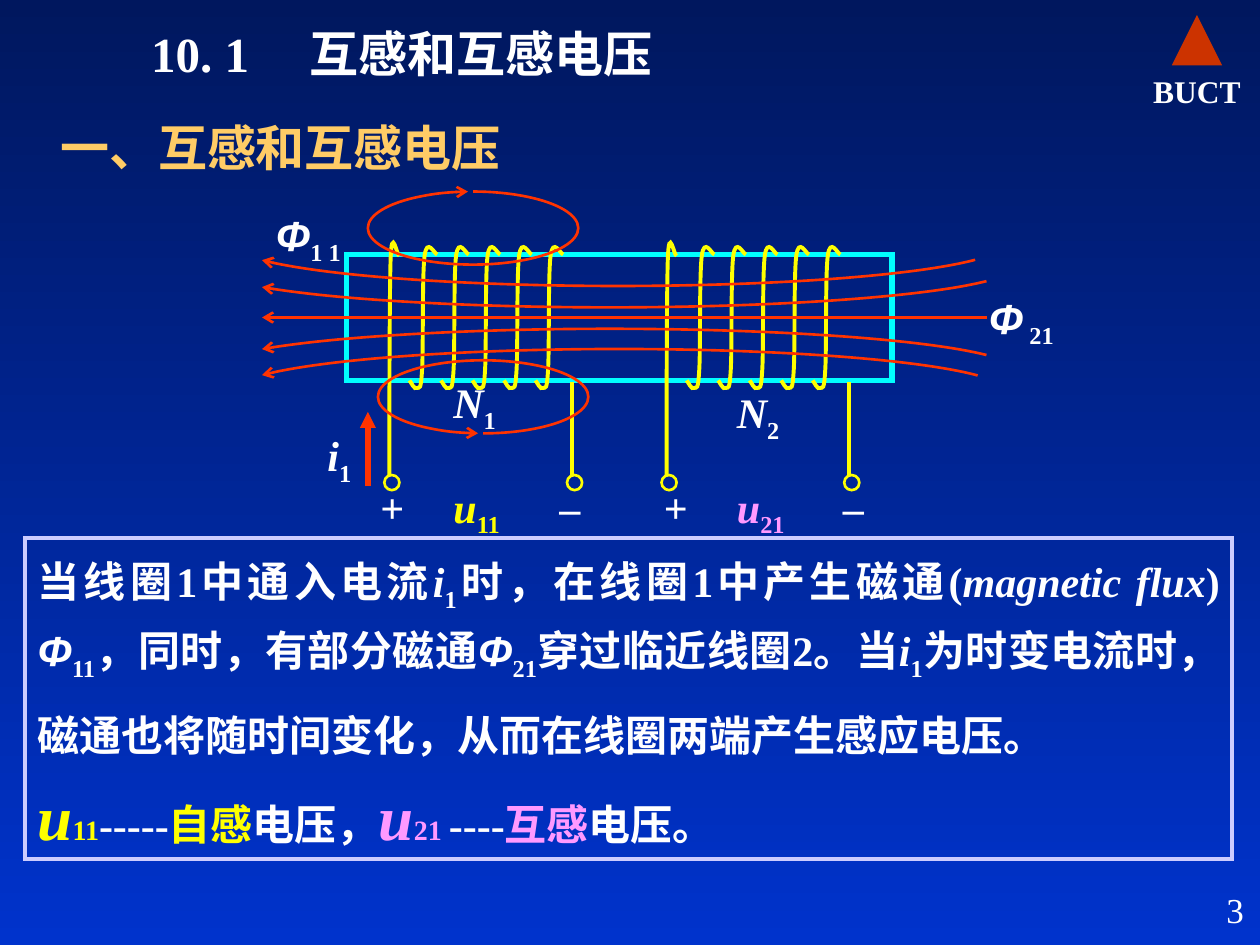
import math

from lxml import etree
from pptx import Presentation
from pptx.dml.color import RGBColor
from pptx.enum import shapes, text
from pptx.oxml import ns
from pptx.util import Inches, Pt

NAVY = RGBColor(0x00, 0x17, 0x5E)
BLUE = RGBColor(0x00, 0x33, 0xCC)
WHITE = RGBColor(0xFF, 0xFF, 0xFF)
GOLD = RGBColor(0xFF, 0xCC, 0x66)
YELLOW = RGBColor(0xFF, 0xFF, 0x00)
PINK = RGBColor(0xFF, 0x99, 0xFF)
CYAN = RGBColor(0x00, 0xFF, 0xFF)
RED = RGBColor(0xFF, 0x33, 0x00)
BRICK = RGBColor(0xCC, 0x33, 0x00)
LILAC = RGBColor(0xCC, 0xCC, 0xFF)
SERIF = "Times New Roman"
SUB = {"sub": True}
ITALIC = {"italic": True}
PHI = {"italic": True, "font": "Arial"}

deck = Presentation()
deck.slide_width, deck.slide_height = Inches(10), Inches(7.5)
page = deck.slides.add_slide(deck.slide_layouts[5])
backdrop = page.background.fill
backdrop.gradient()
backdrop.gradient_angle = 270
for stop, color in zip(backdrop.gradient_stops, (NAVY, BLUE)):
    stop.color.rgb = color


def fill_para(para, spans, size=24, color=WHITE, bold=True, align=text.PP_ALIGN.LEFT):
    para.alignment = align
    para.font.size, para.font.bold, para.font.name = Pt(size), bold, SERIF
    para.font.color.rgb = color
    for words, style in spans:
        span = para.add_run()
        span.text = words
        if "italic" in style:
            span.font.italic = True
        if "font" in style:
            span.font.name = style["font"]
        if "size" in style:
            span.font.size = Pt(style["size"])
        if "color" in style:
            span.font.color.rgb = style["color"]
        props = span._r.get_or_add_rPr()
        if "sub" in style:
            props.set("baseline", "-25000")
        etree.SubElement(props, ns.qn("a:ea"), typeface="Noto Sans CJK SC")


def outline(shape, color, width, arrow=None):
    if hasattr(shape, "fill"):
        shape.fill.background()
    shape.line.color.rgb = color
    shape.line.width = Pt(width)
    props = shape._element.spPr
    line = props.get_or_add_ln()
    etree.SubElement(line, ns.qn("a:miter"), lim="800000")
    if arrow:
        etree.SubElement(line, ns.qn("a:tailEnd"), type=arrow)
    etree.SubElement(props, ns.qn("a:effectLst"))


title = page.shapes.title
title.left, title.top, title.width, title.height = Inches(1.1), Inches(0.14), Inches(7.29), Inches(0.57)
title.text_frame.vertical_anchor = text.MSO_ANCHOR.TOP
title_para = title.text_frame.paragraphs[0]
tabs = etree.SubElement(title_para._p.get_or_add_pPr(), ns.qn("a:tabLst"))
etree.SubElement(tabs, ns.qn("a:tab"), pos=str(Inches(1.26)), algn="l")
fill_para(title_para, [("10. 1\t互感和互感电压", {})], size=28)

emblem = page.shapes.add_shape(shapes.MSO_SHAPE.ISOSCELES_TRIANGLE, Inches(9.3), Inches(0.12), Inches(0.4), Inches(0.4))
emblem.shadow.inherit = False
emblem.fill.solid()
emblem.fill.fore_color.rgb = BRICK
emblem.line.fill.background()

core = page.shapes.add_shape(shapes.MSO_SHAPE.RECTANGLE, Inches(2.75), Inches(2.02), Inches(4.33), Inches(1))
outline(core, CYAN, 3)

LEAD = [(3.09, 3.77), (3.09, 3.49), (3.09, 2.35), (3.1, 2.06), (3.11, 1.77), (3.15, 2.04), (3.17, 2.03)]
TURN = [(3.25, 3.02), (3.26, 3.03), (3.29, 3.1), (3.31, 3.08), (3.33, 3.07), (3.34, 3.11), (3.35, 2.93),
        (3.36, 2.76), (3.35, 2.18), (3.37, 2.03), (3.39, 1.88), (3.45, 2.02), (3.47, 2.02)]
straight_lines = [(7.83, 2.52, 2.08, 2.52, RED, 1.5, "arrow"), (2.92, 3.86, 2.92, 3.27, RED, 3, "triangle")]
for coil_shift in (0, 2.2):
    windings = [(LEAD, coil_shift)] + [(TURN, coil_shift + 0.25 * n) for n in range(5)]
    for controls, shift in windings:
        points = [(Inches(x + shift), Inches(y)) for x, y in controls]
        builder = page.shapes.build_freeform(*points[0])
        builder.add_line_segments(points[1:], close=False)
        winding = builder.convert_to_shape()
        segments = list(winding._element.spPr.iter(ns.qn("a:lnTo")))
        for start in range(0, len(segments), 3):
            curve = etree.Element(ns.qn("a:cubicBezTo"))
            segments[start].addprevious(curve)
            for segment in segments[start:start + 3]:
                curve.append(segment[0])
                segment.getparent().remove(segment)
        outline(winding, YELLOW, 2.25)
    straight_lines.append((4.54 + coil_shift, 3.03, 4.54 + coil_shift, 3.78, YELLOW, 2.25, None))
    for left in (3.05, 4.5):
        terminal = page.shapes.add_shape(
            shapes.MSO_SHAPE.OVAL, Inches(left + coil_shift), Inches(3.77), Inches(0.12), Inches(0.12))
        outline(terminal, YELLOW, 1.5)

for x1, y1, x2, y2, color, width, arrow in straight_lines:
    line = page.shapes.add_connector(shapes.MSO_CONNECTOR.STRAIGHT, Inches(x1), Inches(y1), Inches(x2), Inches(y2))
    outline(line, color, width, arrow)

arcs = [(3, 2.86, 1.67, 0.58, 270, 262, True), (2.92, 1.52, 1.67, 0.58, 270, 262, False)]
for left, top, width, right, flipped in [(1.84, 1.6, 6.13, 7.74, False), (1.61, 1.77, 6.46, 7.83, False),
                                         (1.85, 2.77, 6.13, 7.76, True), (1.61, 2.61, 6.46, 7.83, True)]:
    radius = width / 2
    angles = []
    for x in (right, 2.08):
        across = x - left - radius
        angles.append(math.degrees(math.atan2(0.335 * math.sqrt(1 - (across / radius)**2), across)))
    arcs.append((left, top, width, 0.67, *angles, flipped))
for left, top, width, height, first, last, flipped in arcs:
    arc = page.shapes.add_shape(shapes.MSO_SHAPE.ARC, Inches(left), Inches(top), Inches(width), Inches(height))
    arc.adjustments[0], arc.adjustments[1] = first * 0.6, last * 0.6
    if flipped:
        arc._element.spPr.xfrm.set("flipV", "1")
    outline(arc, RED, 1.5, "arrow")

labels = [
    (0.38, 0.88, 4.95, 0.57, [("一、互感和互感电压", {})], {"size": 28, "color": GOLD}),
    (8.97, 0.52, 1.06, 0.4, [("BUCT", {})], {"size": 18, "align": text.PP_ALIGN.CENTER}),
    (2.5, 3.36, 0.5, 0.56, [("i", ITALIC), ("1", SUB)], {}),
    (2.09, 1.61, 0.75, 0.56, [("Φ", PHI), ("1 1", SUB)], {}),
    (7.75, 2.27, 0.75, 0.56, [("Φ", PHI), (" 21", SUB)], {}),
    (3.5, 2.94, 0.75, 0.56, [("N", ITALIC), ("1", SUB)], {}),
    (5.75, 3.02, 0.67, 0.56, [("N", ITALIC), ("2", SUB)], {}),
    (7.89, 7, 2.08, 0.5, [("3", {})], {"size": 20, "bold": False, "align": text.PP_ALIGN.RIGHT}),
]
for left, index, color in ((2.92, "11", YELLOW), (5.17, "21", PINK)):
    labels += [
        (left, 3.77, 0.42, 0.5, [("+", {})], {}),
        (left + 0.58, 3.77, 0.75, 0.56, [("u", ITALIC), (index, SUB)], {"color": color}),
        (left + 1.42, 3.77, 0.42, 0.5, [("–", {})], {}),
    ]
for left, top, width, height, spans, style in labels:
    box = page.shapes.add_textbox(Inches(left), Inches(top), Inches(width), Inches(height))
    box.text_frame.word_wrap = True
    fill_para(box.text_frame.paragraphs[0], spans, **style)

summary = page.shapes.add_shape(shapes.MSO_SHAPE.RECTANGLE, Inches(0.2), Inches(4.27), Inches(9.58), Inches(2.55))
outline(summary, LILAC, 2.25)
frame = summary.text_frame
frame.word_wrap = True
frame.vertical_anchor = text.MSO_ANCHOR.TOP
explanation = [
    ("当线圈1中通入电流", {}), ("i", ITALIC), ("1", SUB), ("时，在线圈1中产生磁通(", {}),
    ("magnetic flux", ITALIC), (") ", {}), ("Φ", PHI), ("11", SUB), ("，同时，有部分磁通", {}),
    ("Φ", PHI), ("21", SUB), ("穿过临近线圈2。当", {}), ("i", ITALIC), ("1", SUB),
    ("为时变电流时，磁通也将随时间变化，从而在线圈两端产生感应电压。", {}), ("\t", {"size": 32}),
]
voltages = []
for index, dashes, kind, ending, color in (("11", "-----", "自感", "电压，", YELLOW),
                                           ("21 ", "----", "互感", "电压。", PINK)):
    voltages += [("u", {"size": 36, "color": color, "italic": True}), (index, {"size": 16, "color": color}),
                 (dashes, {}), (kind, {"color": color}), (ending, {})]
for para, spans in ((frame.paragraphs[0], explanation), (frame.add_paragraph(), voltages)):
    para.line_spacing = 1.2
    fill_para(para, spans, align=text.PP_ALIGN.JUSTIFY)

deck.save("out.pptx")
